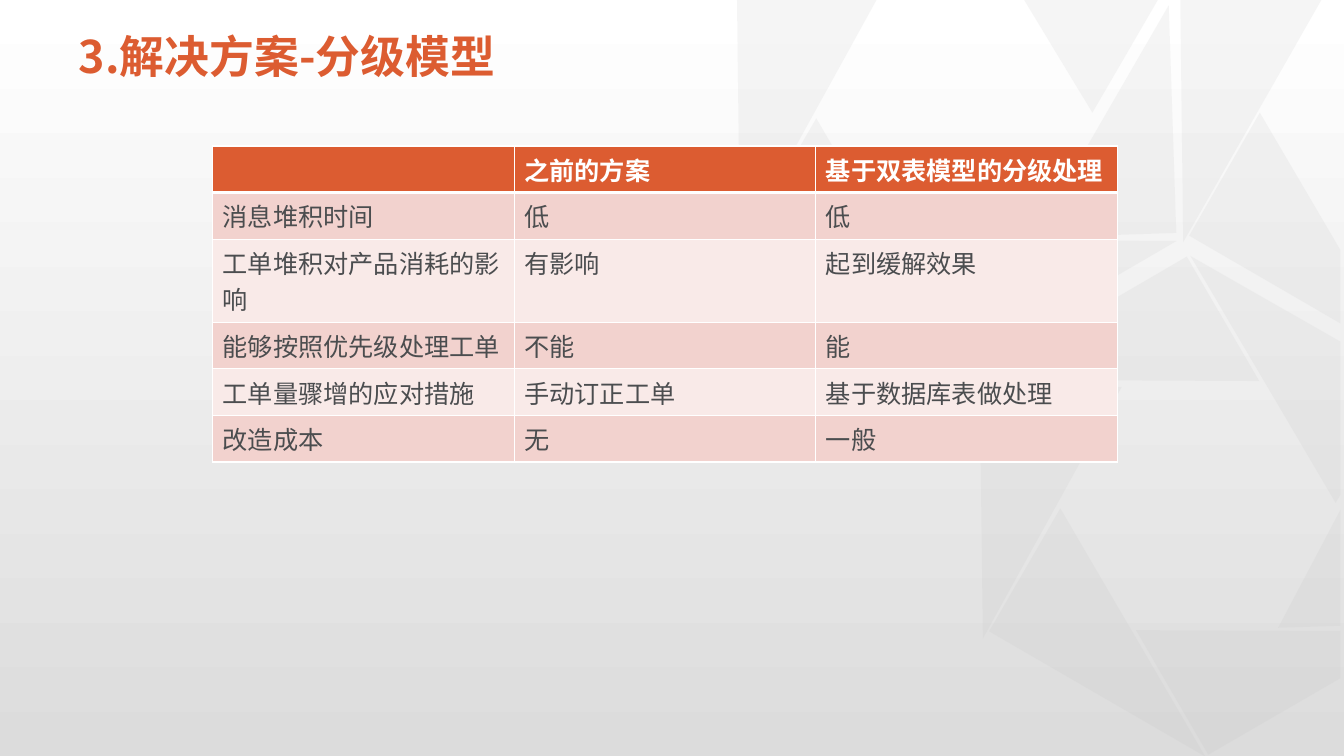
from pptx import Presentation
from pptx.dml.color import RGBColor
from pptx.enum.lang import MSO_LANGUAGE_ID as LANG
from pptx.enum.shapes import MSO_SHAPE as SHAPE
from pptx.enum.text import MSO_ANCHOR as ANCHOR, MSO_AUTO_SIZE as AUTO, PP_ALIGN as ALIGN
from pptx.oxml import parse_xml
from pptx.oxml.ns import nsdecls
from pptx.util import Cm, Pt

ORANGE = RGBColor(0xDC, 0x5C, 0x31)
WHITE = RGBColor(0xFF, 0xFF, 0xFF)
DARK = RGBColor(0x4B, 0x4D, 0x4F)
BAND_DARK = RGBColor(0xF2, 0xD2, 0xCE)
BAND_LIGHT = RGBColor(0xF9, 0xEA, 0xE8)
BG_GRAY = RGBColor(0xDC, 0xDC, 0xDC)
FACET_GRAY = RGBColor(0xBF, 0xBF, 0xBF)

CJK_FONT = "Noto Sans CJK SC"
TITLE_FONT = {"name": CJK_FONT, "size": Pt(32), "bold": True}
HEAD_FONT = {"name": "Times New Roman", "size": Pt(18), "bold": True}
BODY_FONT = {**HEAD_FONT, "bold": False}

TITLE = "3.解决方案-分级模型"
ROWS = [
    ["", "之前的方案", "基于双表模型的分级处理"],
    ["消息堆积时间", "低", "低"],
    ["工单堆积对产品消耗的影响", "有影响", "起到缓解效果"],
    ["能够按照优先级处理工单", "不能", "能"],
    ["工单量骤增的应对措施", "手动订正工单", "基于数据库表做处理"],
    ["改造成本", "无", "一般"],
]

# Right triangles: left, top, width, height in cm, then rotation
TRIANGLES = [
    (25.07, 7.77, 6.17, 3.63, 149.8),
    (23.37, 11.13, 6.3, 3.58, 89.3),
    (25.4, 14.15, 6.3, 3.58, 30.1),
    (28.52, 1.24, 6.1, 3.58, 89.3),
    (17.25, 1.27, 6.3, 3.58, 89.3),
    (19.25, 4.32, 6.3, 3.58, 30.1),
    (22.99, 4.24, 6.17, 3.63, 329.8),
    (24.89, 1.27, 5.74, 3.58, 268.1),
]
# Facets cut by the slide edge: corner points in cm
CUT_FACETS = [
    [(28.63, 15.88), (33.78, 15.9), (33.78, 17.09), (30.45, 19.02)],
    [(33.78, 12.85), (33.78, 15.77), (32.21, 15.82)],
    [(30, 6.45), (33.78, 8.61), (33.78, 12.47), (33.66, 12.67)],
    [(31.75, 2.84), (33.78, 6.3), (33.78, 8.15), (29.97, 5.94)],
    [(25.81, 0), (29.18, 0), (27.53, 2.84)],
]


def add_run(p, text, font, color):
    r = p.add_run()
    r.text = text
    for key, value in font.items():
        setattr(r.font, key, value)
    r.font.color.rgb = color
    r.font.language_id = LANG.SIMPLIFIED_CHINESE
    ea = parse_xml(f'<a:ea {nsdecls("a")} typeface="{CJK_FONT}"/>')
    r._r.get_or_add_rPr().append(ea)


def set_background(slide):
    fill = slide.background.fill
    fill.gradient()
    fill.gradient_angle = 90
    for stop, color, position in zip(fill.gradient_stops, (BG_GRAY, WHITE), (0, 1)):
        stop.color.rgb = color
        stop.position = position


def style_facet(sp):
    sp.shadow.inherit = False
    sp.line.fill.background()
    sp.fill.solid()
    sp.fill.fore_color.rgb = FACET_GRAY
    color = sp.element.spPr.find(".//{*}srgbClr")
    color.append(parse_xml(f'<a:alpha {nsdecls("a")} val="14000"/>'))


def add_triangle(slide, left, top, width, height, rotation):
    sp = slide.shapes.add_shape(SHAPE.RIGHT_TRIANGLE, Cm(left), Cm(top), Cm(width), Cm(height))
    sp.rotation = rotation
    style_facet(sp)


def add_cut_facet(slide, points):
    corners = [(Cm(x), Cm(y)) for x, y in points]
    builder = slide.shapes.build_freeform(*corners[0])
    builder.add_line_segments(corners[1:], close=True)
    style_facet(builder.convert_to_shape())


def format_title(slide):
    sp = slide.shapes.title
    box = {"left": Cm(1.73), "top": Cm(0.38), "width": Cm(30.43), "height": Cm(2.21)}
    for key, value in box.items():
        setattr(sp, key, value)
    tf = sp.text_frame
    tf.auto_size = AUTO.NONE
    tf.vertical_anchor = ANCHOR.MIDDLE
    p = tf.paragraphs[0]
    p.alignment = ALIGN.LEFT
    p.line_spacing = 0.9
    add_run(p, TITLE, TITLE_FONT, ORANGE)
    # Bring the title in front of the facets
    sp.element.getparent().append(sp.element)


def set_borders(cell, widths):
    tcPr = cell._tc.get_or_add_tcPr()
    for i, (side, width) in enumerate(widths.items()):
        tcPr.insert(i, parse_xml(
            f'<a:ln{side} {nsdecls("a")} w="{Pt(width)}"><a:solidFill>'
            f'<a:srgbClr val="{WHITE}"/></a:solidFill></a:ln{side}>'))


def add_comparison_table(slide):
    n_rows, n_cols = len(ROWS), len(ROWS[0])
    table = slide.shapes.add_table(n_rows, n_cols, Cm(5.36), Cm(3.68),
                                   Cm(7.6) * n_cols, Cm(1.03) * n_rows).table
    table.horz_banding = False
    for i, row in enumerate(ROWS):
        head = i == 0
        fill = ORANGE if head else (BAND_LIGHT, BAND_DARK)[i % 2]
        font, color = (HEAD_FONT, WHITE) if head else (BODY_FONT, DARK)
        for j, text in enumerate(row):
            cell = table.cell(i, j)
            cell.fill.solid()
            cell.fill.fore_color.rgb = fill
            set_borders(cell, {"L": 1, "R": 1, "T": 3 if i == 1 else 1, "B": 3 if head else 1})
            if text:
                add_run(cell.text_frame.paragraphs[0], text, font, color)


def main():
    prs = Presentation()
    prs.slide_width, prs.slide_height = Cm(33.87), Cm(19.05)
    slide = prs.slides.add_slide(prs.slide_layouts.get_by_name("Title Only"))

    # Backdrop
    set_background(slide)
    for triangle in TRIANGLES:
        add_triangle(slide, *triangle)
    for points in CUT_FACETS:
        add_cut_facet(slide, points)

    # Content
    format_title(slide)
    add_comparison_table(slide)
    prs.save("out.pptx")


main()
